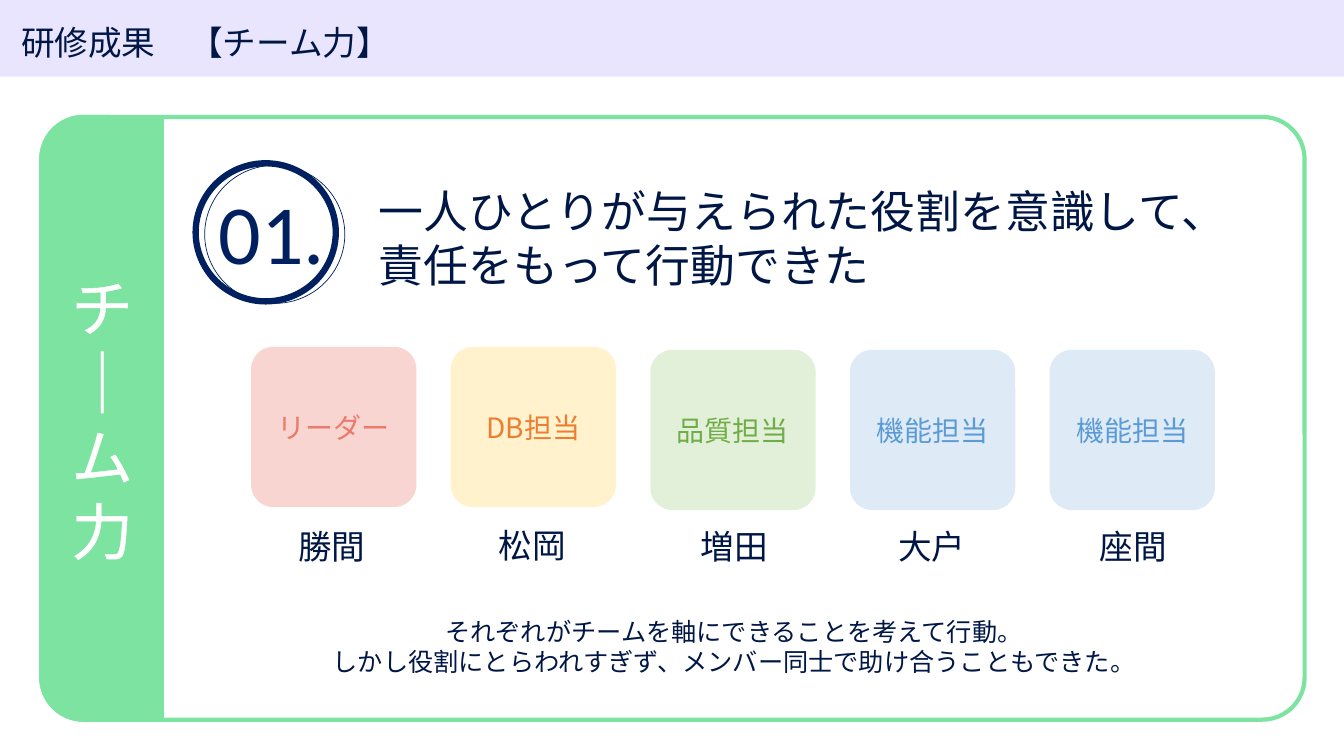
from dataclasses import dataclass

from lxml.etree import SubElement
from pptx import Presentation
from pptx.dml.color import RGBColor
from pptx.enum.shapes import MSO_SHAPE
from pptx.enum.text import MSO_ANCHOR, MSO_AUTO_SIZE, PP_ALIGN
from pptx.oxml.ns import qn
from pptx.util import Inches, Pt

CJK = "Noto Sans CJK JP"
NAVY = "001746"
RING = "002060"
GREEN = "7DE3A1"
WHITE = "FFFFFF"
LINE_RATIO = 1.21

ROLE_LEFT, ROLE_PITCH = 2.49, 1.98
ROLE_WIDTH, ROLE_HEIGHT = 1.64, 1.59


@dataclass
class Box:
    left: float
    top: float
    width: float
    height: float

    def lengths(self) -> tuple:
        return tuple(Inches(v) for v in (self.left, self.top, self.width, self.height))


@dataclass
class Panel:
    kind: MSO_SHAPE
    box: Box
    fill: str | None = None
    line: str | None = None
    weight: float = 0
    corner: float | None = None


@dataclass
class Role:
    duty: str
    member: str
    fill: str
    color: str
    top: float
    name_left: float
    name_top: float = 5.17


FRAME = [
    Panel(MSO_SHAPE.RECTANGLE, Box(0, 0, 13.33, 0.76), fill="E9E5FF"),
    Panel(MSO_SHAPE.ROUNDED_RECTANGLE, Box(0.41, 1.16, 12.53, 5.98),
          line=GREEN, weight=3, corner=0.07),
    Panel(MSO_SHAPE.ROUNDED_RECTANGLE, Box(0.41, 1.16, 1.08, 5.98),
          fill=GREEN, line=GREEN, weight=3, corner=0.39),
    Panel(MSO_SHAPE.RECTANGLE, Box(1.08, 1.16, 0.54, 5.98),
          fill=GREEN, line=GREEN, weight=1),
]

RINGS = [
    Panel(MSO_SHAPE.FLOWCHART_CONNECTOR, Box(1.94, 1.62, 1.39, 1.37), line=RING, weight=4.5),
    Panel(MSO_SHAPE.FLOWCHART_CONNECTOR, Box(2.03, 1.64, 1.39, 1.37), line=RING, weight=0.5),
]

ROLES = [
    Role("リーダー", "勝間", "F8D5D0", "EA7B6B", 3.44, 2.86),
    Role("DB担当", "松岡", "FFF2CC", "ED7D31", 3.44, 4.85, 5.16),
    Role("品質担当", "増田", "E2F0D9", "70AD47", 3.47, 6.85),
    Role("機能担当", "大戸", "DEEBF7", "5B9BD5", 3.47, 8.81),
    Role("機能担当", "座間", "DEEBF7", "5B9BD5", 3.47, 10.81),
]


def rgb(value: str) -> RGBColor:
    return RGBColor.from_string(value)


def write(sp, lines: list[str], size: float, color: str, font: str = CJK,
          align: PP_ALIGN = PP_ALIGN.LEFT, anchor: MSO_ANCHOR = MSO_ANCHOR.TOP) -> None:
    tf = sp.text_frame
    tf.word_wrap = True
    tf.auto_size = MSO_AUTO_SIZE.NONE
    tf.vertical_anchor = anchor
    p = tf.paragraphs[0]
    p.alignment = align
    if font == CJK:
        p.line_spacing = Pt(round(size * LINE_RATIO, 1))
    for i, text in enumerate(lines):
        if i:
            p.add_line_break()
        r = p.add_run()
        r.text = text
        r.font.size = Pt(size)
        r.font.name = font
        r.font.color.rgb = rgb(color)
        props = r.font._element
        SubElement(props, qn("a:ea")).set("typeface", font)
        if font == CJK:
            outline = SubElement(props, qn("a:ln"), w=str(Pt(0.75)))
            fill = SubElement(outline, qn("a:solidFill"))
            SubElement(fill, qn("a:srgbClr"), val=color)
            props.insert(0, outline)


def add_text(shapes, box: Box, lines: list[str], size: float, color: str,
             font: str = CJK, align: PP_ALIGN = PP_ALIGN.LEFT) -> None:
    write(shapes.add_textbox(*box.lengths()), lines, size, color, font, align)


def add_panel(shapes, panel: Panel):
    sp = shapes.add_shape(panel.kind, *panel.box.lengths())
    sp.shadow.inherit = False
    if panel.corner is not None:
        sp.adjustments[0] = panel.corner
    if panel.fill:
        sp.fill.solid()
        sp.fill.fore_color.rgb = rgb(panel.fill)
    else:
        sp.fill.background()
    if panel.line:
        sp.line.color.rgb = rgb(panel.line)
        sp.line.width = Pt(panel.weight)
    else:
        sp.line.fill.background()
    return sp


def add_role(shapes, role: Role, index: int) -> None:
    group = shapes.add_group_shape()
    box = Box(ROLE_LEFT + index * ROLE_PITCH, role.top, ROLE_WIDTH, ROLE_HEIGHT)
    tile = add_panel(group.shapes, Panel(MSO_SHAPE.ROUNDED_RECTANGLE, box,
                                         fill=role.fill, corner=0.14))
    write(tile, [role.duty], 20, role.color, align=PP_ALIGN.CENTER, anchor=MSO_ANCHOR.MIDDLE)
    add_text(group.shapes, Box(role.name_left, role.name_top, 0.9, 0.5), [role.member], 24, NAVY)


def add_title(s, text: str) -> None:
    title = s.shapes.title
    title.left, title.top, title.width, title.height = Box(0.11, 0.16, 3.95, 0.5).lengths()
    write(title, [text], 24, NAVY)
    s.shapes.element.append(title.element)


def main() -> None:
    prs = Presentation()
    prs.slide_width, prs.slide_height = Inches(13.33), Inches(7.5)
    s = prs.slides.add_slide(prs.slide_layouts[5])

    for panel in FRAME:
        add_panel(s.shapes, panel)
    add_text(s.shapes, Box(0.61, 2.62, 0.92, 3.06), ["チ｜ム力"], 44, WHITE)

    for ring in RINGS:
        add_panel(s.shapes, ring)
    add_text(s.shapes, Box(2.07, 1.74, 1.45, 1.11), ["01."], 60, RING, font="Calibri")
    add_text(s.shapes, Box(3.66, 1.77, 8.6, 1.18),
             ["一人ひとりが与えられた役割を意識して、責任をもって行動できた"], 32, NAVY)

    for index, role in enumerate(ROLES):
        add_role(s.shapes, role, index)

    add_text(s.shapes, Box(3.15, 6.06, 8.26, 0.71),
             ["それぞれがチームを軸にできることを考えて行動。",
              "しかし役割にとらわれすぎず、メンバー同士で助け合うこともできた。"],
             18, NAVY, align=PP_ALIGN.CENTER)
    add_title(s, "研修成果\u3000【チーム力】".replace("\u3000", "　"))
    prs.save("out.pptx")


if __name__ == "__main__":
    main()
